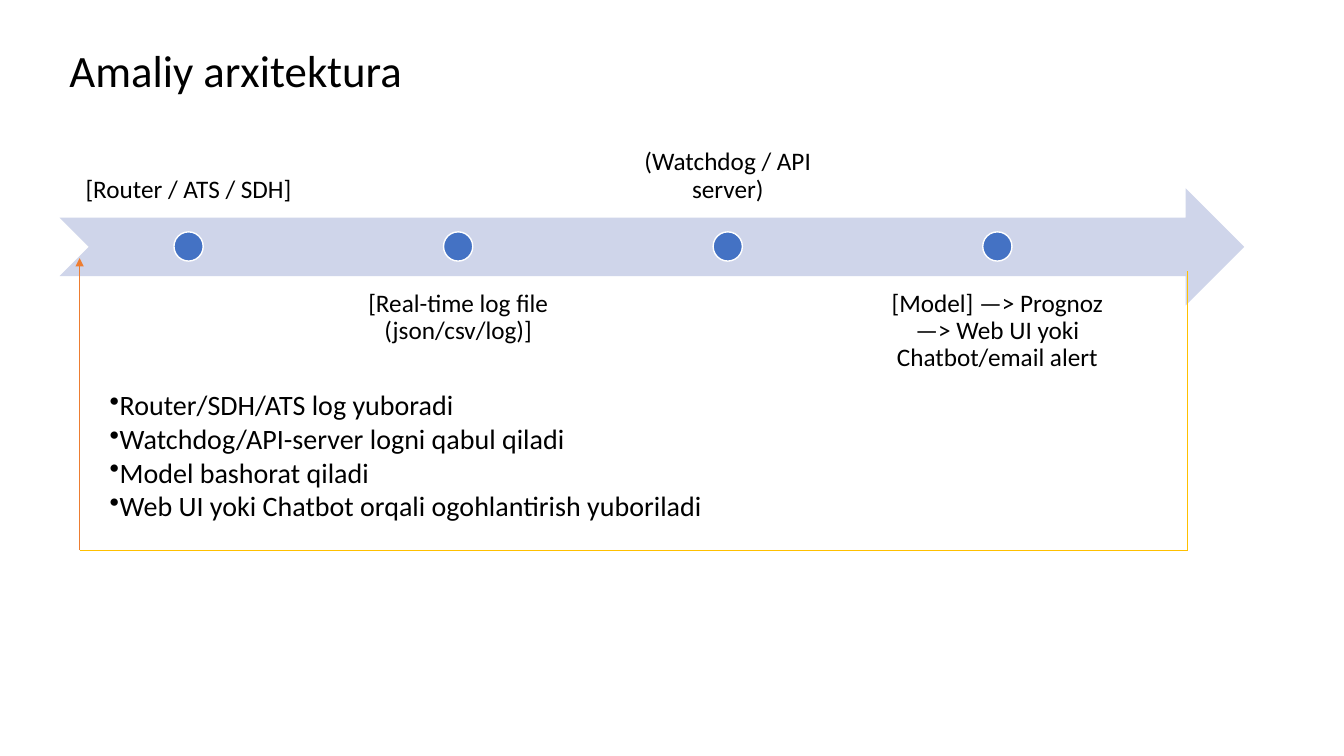
from pptx import Presentation
from pptx.dml.color import RGBColor
from pptx.enum.shapes import MSO_CONNECTOR, MSO_SHAPE
from pptx.enum.text import MSO_ANCHOR, PP_ALIGN
from pptx.oxml.ns import qn
from pptx.util import Inches, Pt
from lxml.etree import SubElement

BLACK = RGBColor(0x00, 0x00, 0x00)
WHITE = RGBColor(0xFF, 0xFF, 0xFF)
PALE_BLUE = RGBColor(0xCF, 0xD5, 0xEA)
BLUE = RGBColor(0x44, 0x72, 0xC4)
GOLD = RGBColor(0xFF, 0xC0, 0x00)
ORANGE = RGBColor(0xED, 0x7D, 0x31)


class Painter:
    """Style and current slide, with one method per kind of element."""

    font = "Calibri"

    def __init__(self, page):
        self.page = page

    def shape(self, kind, left, top, width, height, fill, outline=None):
        shape = self.page.shapes.add_shape(
            kind, Inches(left), Inches(top), Inches(width), Inches(height))
        shape.shadow.inherit = False
        shape.fill.solid()
        shape.fill.fore_color.rgb = fill
        if outline is None:
            shape.line.fill.background()
        else:
            shape.line.color.rgb = outline
            shape.line.width = Pt(1)

    def text(self, left, top, width, height, lines, size, bullet=None):
        box = self.page.shapes.add_textbox(
            Inches(left), Inches(top), Inches(width), Inches(height))
        frame = box.text_frame
        frame.word_wrap = True
        frame.text = "\n".join(lines)
        for para in frame.paragraphs:
            if bullet:
                mark = SubElement(para._p.get_or_add_pPr(), qn("a:buChar"))
                mark.set("char", bullet)
            for span in para.runs:
                span.font.name = self.font
                span.font.size = Pt(size)
                span.font.color.rgb = BLACK
        return frame

    def label(self, left, top, width, height, words, anchor):
        frame = self.text(left, top, width, height, [words], 18)
        frame.vertical_anchor = anchor
        frame.margin_left = frame.margin_right = Inches(0.14)
        frame.margin_top = frame.margin_bottom = Inches(0.14)
        para = frame.paragraphs[0]
        para.alignment = PP_ALIGN.CENTER
        para.line_spacing = 0.9

    def line(self, start, end, color, width=1, arrow=False):
        points = [Inches(value) for value in (*start, *end)]
        line = self.page.shapes.add_connector(MSO_CONNECTOR.STRAIGHT, *points)
        line.line.color.rgb = color
        line.line.width = Pt(width)
        if arrow:
            SubElement(line.line._get_or_add_ln(), qn("a:tailEnd")).set("type", "triangle")
        SubElement(line._element.spPr, qn("a:effectLst"))


def main():
    deck = Presentation()
    deck.slide_width, deck.slide_height = Inches(13.33), Inches(7.5)
    painter = Painter(deck.slides.add_slide(deck.slide_layouts[6]))

    # Timeline arrow with stages alternating above and below
    painter.shape(MSO_SHAPE.NOTCHED_RIGHT_ARROW, 0.59, 1.87, 11.75, 1.16, PALE_BLUE)
    stages = [
        "[Router / ATS / SDH]",
        "[Real-time log file (json/csv/log)]",
        "(Watchdog / API server)",
        "[Model] —> Prognoz —> Web UI yoki Chatbot/email alert",
    ]
    label_width, dot = 2.55, 0.29
    for index, stage in enumerate(stages):
        center = 1.87 + 2.674 * index
        above = index % 2 == 0
        painter.label(center - label_width / 2, 1 if above else 2.74,
                      label_width, 1.16, stage,
                      MSO_ANCHOR.BOTTOM if above else MSO_ANCHOR.TOP)
        painter.shape(MSO_SHAPE.OVAL, center - dot / 2, 2.3, dot, dot, BLUE, WHITE)

    # Feedback loop from the arrow head back to its start
    left, right, bottom = 0.79, 11.78, 5.46
    painter.line((right, 2.69), (right, bottom), GOLD)
    painter.line((left, bottom), (left, 2.56), ORANGE, 0.5, arrow=True)
    painter.line((right, bottom), (left, bottom), GOLD)

    # Process steps
    painter.text(0.99, 3.8, 6.67, 1.44, [
        "Router/SDH/ATS log yuboradi",
        "Watchdog/API-server logni qabul qiladi",
        "Model bashorat qiladi",
        "Web UI yoki Chatbot orqali ogohlantirish yuboriladi",
    ], 20, bullet="•")

    # Title
    painter.text(0.59, 0.37, 6.67, 0.64, ["Amaliy arxitektura"], 32)

    deck.save("out.pptx")


if __name__ == "__main__":
    main()
